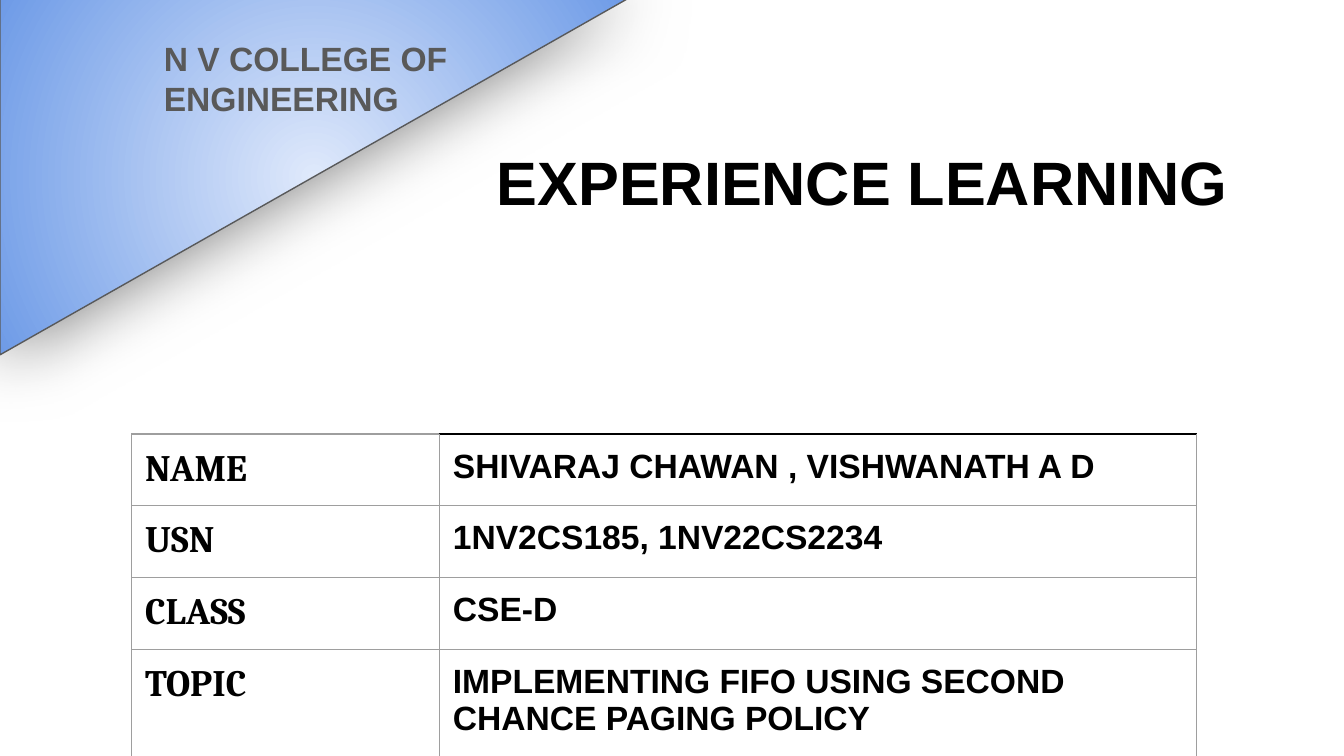
"""Build the title slide of a college experience learning report."""
from lxml.etree import SubElement as Sub
from pptx import Presentation
from pptx.dml.color import RGBColor as RGB
from pptx.enum.shapes import MSO_SHAPE as Kind
from pptx.enum.text import MSO_ANCHOR as Anchor, PP_ALIGN as Align
from pptx.oxml.ns import qn
from pptx.util import Inches, Pt

HUES = {"ink": "000000", "gray": "595959", "rule": "9E9E9E",
        "pale": "DFE9FB", "blue": "6E9BE7"}


def write(host, frame, text, size, face="Arial", hue="ink"):
    frame.word_wrap = True
    host.margin_left = host.margin_right = Inches(0.1)
    host.margin_top = host.margin_bottom = Inches(0.1)
    para = frame.paragraphs[0]
    para.text = text
    font = para.font
    font.size, font.name, font.bold = Pt(size), face, True
    font.color.rgb = RGB.from_string(HUES[hue])
    return para


def edge(cell, side, hue):
    line = Sub(cell._tc.get_or_add_tcPr(), qn(f"a:ln{side}"), w=str(Pt(0.75)))
    fill = Sub(line, qn("a:solidFill"))
    Sub(fill, qn("a:srgbClr"), val=HUES[hue])


deck = Presentation()
deck.slide_width = Inches(10)
deck.slide_height = deck.slide_width * 9 // 16
slide = deck.slides.add_slide(deck.slide_layouts[6])
shapes = slide.shapes

title = shapes.add_textbox(Inches(3.26), Inches(0.91), Inches(6.31), Inches(0.81))
frame = title.text_frame
frame.vertical_anchor = Anchor.BOTTOM
write(frame, frame, "EXPERIENCE LEARNING", 32.8).alignment = Align.CENTER

corner = shapes.add_shape(Kind.RIGHT_TRIANGLE, Inches(1.01), Inches(-1.02),
                          Inches(2.65), Inches(4.67))
corner.rotation = 90
corner.line.color.rgb = RGB.from_string(HUES["gray"])
corner.line.width = Pt(0.75)
corner.fill.gradient()
for stop, hue, spot in zip(corner.fill.gradient_stops, ("pale", "blue"), (0, 1)):
    stop.color.rgb = RGB.from_string(HUES[hue])
    stop.position = spot
grad = corner._element.spPr.find(qn("a:gradFill"))
grad.remove(grad.find(qn("a:lin")))
ring = Sub(grad, qn("a:path"), path="circle")
Sub(ring, qn("a:fillToRect"), l="50000", t="50000", r="50000", b="50000")

corner.shadow.inherit = False
glow = Sub(corner._element.spPr.find(qn("a:effectLst")), qn("a:outerShdw"),
           blurRad=str(Pt(40.5)), dist="0", dir="0", rotWithShape="0")
tint = Sub(glow, qn("a:srgbClr"), val=HUES["ink"])
Sub(tint, qn("a:alpha"), val="53000")

school = shapes.add_textbox(Inches(1.12), Inches(0.18), Inches(2.38), Inches(0.93))
frame = school.text_frame
write(frame, frame, "N V COLLEGE OF ENGINEERING", 18, hue="gray")

rows = [("NAME", "SHIVARAJ CHAWAN , VISHWANATH A D"),
        ("USN", "1NV2CS185, 1NV22CS2234"),
        ("CLASS", "CSE-D"),
        ("TOPIC", "IMPLEMENTING FIFO USING SECOND CHANCE PAGING POLICY")]
high = [0.42, 0.33, 0.42, 0.42]
wide = [2.29, 5.63]
table = shapes.add_table(len(rows), len(wide), Inches(0.98), Inches(3.23),
                         Inches(sum(wide)), Inches(sum(high))).table
for col, width in zip(table.columns, wide):
    col.width = Inches(width)
for r, (pair, height) in enumerate(zip(rows, high)):
    table.rows[r].height = Inches(height)
    for c, text in enumerate(pair):
        cell = table.cell(r, c)
        size, face = [(20, "Cambria"), (18, "Arial")][c]
        write(cell, cell.text_frame, text, size, face)
        for side in "LRTB":
            edge(cell, side, "ink" if (r, c, side) == (0, 1, "T") else "rule")
        cell.fill.background()

deck.save("out.pptx")
